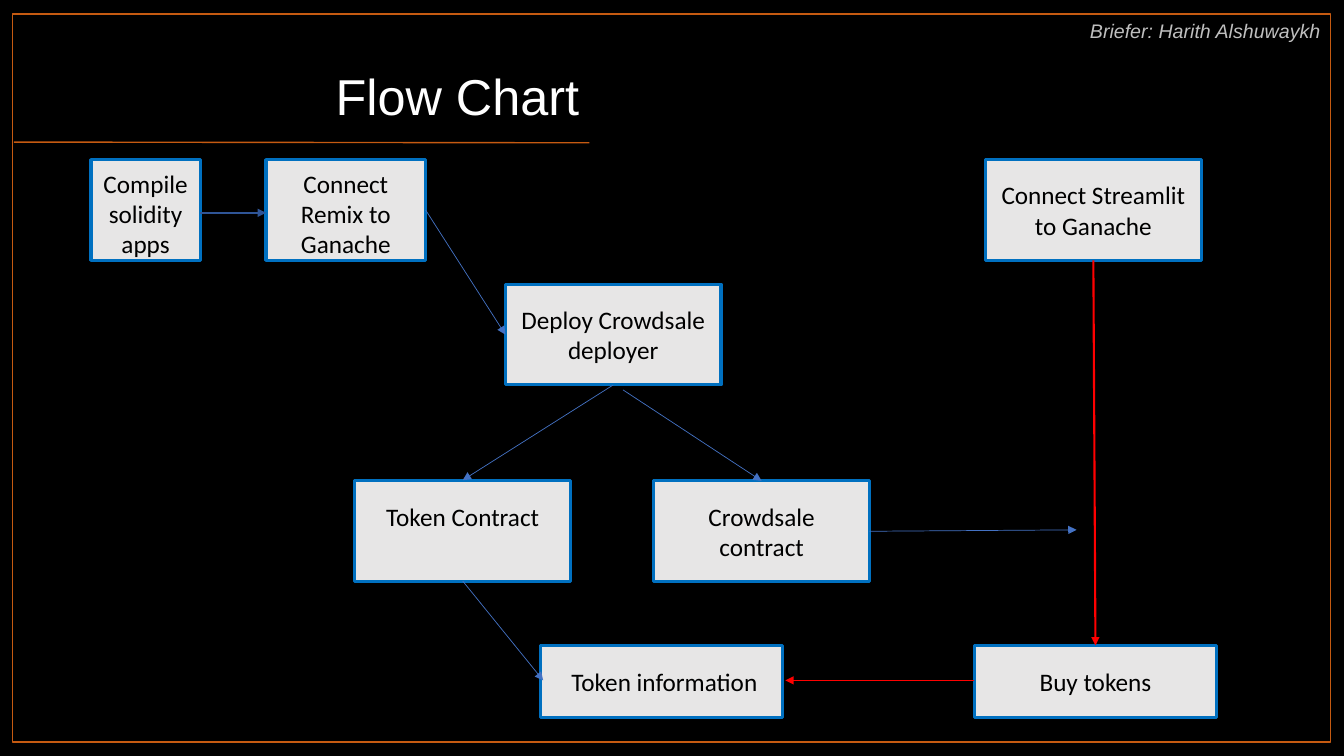
from dataclasses import dataclass

from lxml.etree import SubElement
from pptx import Presentation
from pptx.dml.color import RGBColor
from pptx.enum.shapes import MSO_CONNECTOR as Connector, MSO_SHAPE as Shape
from pptx.enum.text import MSO_ANCHOR as Anchor, PP_ALIGN as Align
from pptx.oxml.ns import qn
from pptx.util import Pt


@dataclass(frozen=True)
class Theme:
    background: str = "000000"
    frame: str = "C55A11"
    title: str = "FFFFFF"
    briefer: str = "BFBFBF"
    box_fill: str = "E7E6E6"
    box_line: str = "0070C0"
    box_text: str = "000000"
    flow: str = "4472C4"
    flow_dark: str = "2F5597"
    purchase: str = "FF0000"
    heading_font: str = "Arial"
    body_font: str = "Calibri"
    title_size: float = 36
    briefer_size: float = 14
    box_size: float = 18


THEME = Theme()
BOX_WIDTH, BOX_HEIGHT = 154, 72
WIDE_WIDTH, LOW_HEIGHT = 173, 51
TOP_ROW, CONTRACT_ROW, TOKEN_ROW = 114, 343.5, 461.25

# Text, left, top, width, height, text shift right, text shift down
STEPS = [
    ("Compile solidity apps", 65, TOP_ROW, 78, BOX_HEIGHT, 0, 2.5),
    ("Connect Remix to Ganache", 190, TOP_ROW, 114, BOX_HEIGHT, 0, 2.5),
    ("Connect Streamlit to Ganache", 704, TOP_ROW, BOX_WIDTH, BOX_HEIGHT, 0, 0),
    ("Deploy Crowdsale deployer", 361, 203, BOX_WIDTH, BOX_HEIGHT, 0, 0),
    ("Token Contract", 253.5, CONTRACT_ROW, BOX_WIDTH, BOX_HEIGHT, 0, -10.5),
    ("Crowdsale contract", 467, CONTRACT_ROW, BOX_WIDTH, BOX_HEIGHT, 0, 0),
    ("Token information", 386, TOKEN_ROW, WIDE_WIDTH, LOW_HEIGHT, 2, 0),
    ("Buy tokens", 696, TOKEN_ROW, WIDE_WIDTH, LOW_HEIGHT, 0, 0),
]

# Start, end, colour, line width
ARROWS = [
    ((143, 152), (190, 152), THEME.flow_dark, 1.5),
    ((781, 186), (782.5, 461), THEME.purchase, 1.5),
    ((304, 150), (361, 239), THEME.flow, 0.5),
    ((445, 278.5), (544, 343.5), THEME.flow, 0.5),
    ((438, 275), (330.5, 343), THEME.flow, 0.5),
    ((621, 379.5), (769, 378.5), THEME.flow, 0.5),
    ((330.5, 415), (388, 486), THEME.flow, 0.5),
    ((696, 486), (561, 486), THEME.purchase, 0.5),
]


def color(value):
    return RGBColor.from_string(value)


def place(shape, left, top, width, height):
    shape.left, shape.top = Pt(left), Pt(top)
    shape.width, shape.height = Pt(width), Pt(height)


def write(shape, text, font_name, size, text_color, alignment, italic=False):
    shape.text_frame.word_wrap = True
    paragraph = shape.text_frame.paragraphs[0]
    paragraph.text = text
    paragraph.alignment = alignment
    font = paragraph.font
    font.name, font.size, font.italic = font_name, Pt(size), italic
    font.color.rgb = color(text_color)


def add_box(slide, left, top, width, height, line_color, line_width, fill=None):
    box = slide.shapes.add_shape(
        Shape.RECTANGLE, Pt(left), Pt(top), Pt(width), Pt(height))
    box.shadow.inherit = False
    if fill:
        box.fill.solid()
        box.fill.fore_color.rgb = color(fill)
    else:
        box.fill.background()
    box.line.color.rgb = color(line_color)
    box.line.width = Pt(line_width)
    return box


def add_step(slide, text, left, top, width, height, shift_right, shift_down):
    box = add_box(slide, left, top, width, height,
                  THEME.box_line, 2.25, THEME.box_fill)
    write(box, text, THEME.body_font, THEME.box_size, THEME.box_text, Align.CENTER)
    # Centred text moves by half of an extra margin
    frame = box.text_frame
    frame.vertical_anchor = Anchor.MIDDLE
    frame.margin_left, frame.margin_right = Pt(7 + 2 * shift_right), Pt(7)
    frame.margin_top = Pt(max(0, 2 * shift_down))
    frame.margin_bottom = Pt(max(0, -2 * shift_down))


def add_line(slide, start, end, line_color, width, arrow=True):
    line = slide.shapes.add_connector(
        Connector.STRAIGHT, *(Pt(value) for value in start + end))
    line.line.color.rgb = color(line_color)
    line.line.width = Pt(width)
    if arrow:
        SubElement(line.line._get_or_add_ln(), qn("a:tailEnd"), type="triangle")
    SubElement(line._element.spPr, qn("a:effectLst"))


def add_header(slide):
    title = slide.shapes.title
    place(title, 10, 42.5, 411, 51)
    write(title, "Flow Chart", THEME.heading_font, THEME.title_size,
          THEME.title, Align.RIGHT)
    add_line(slide, (10, 101.5), (421, 102), THEME.frame, 1, arrow=False)

    briefer = slide.shapes.add_textbox(Pt(621), Pt(10), Pt(329.5), Pt(30))
    write(briefer, "Briefer: Harith Alshuwaykh", THEME.heading_font,
          THEME.briefer_size, THEME.briefer, Align.RIGHT, italic=True)


def main():
    presentation = Presentation()
    presentation.slide_width, presentation.slide_height = Pt(960), Pt(540)
    slide = presentation.slides.add_slide(presentation.slide_layouts[5])

    # Background and frame
    slide.background.fill.solid()
    slide.background.fill.fore_color.rgb = color(THEME.background)
    add_box(slide, 9, 10, 941.5, 520, THEME.frame, 1)

    add_header(slide)

    # Flow chart
    for step in STEPS:
        add_step(slide, *step)
    for arrow in ARROWS:
        add_line(slide, *arrow)

    presentation.save("out.pptx")


if __name__ == "__main__":
    main()
